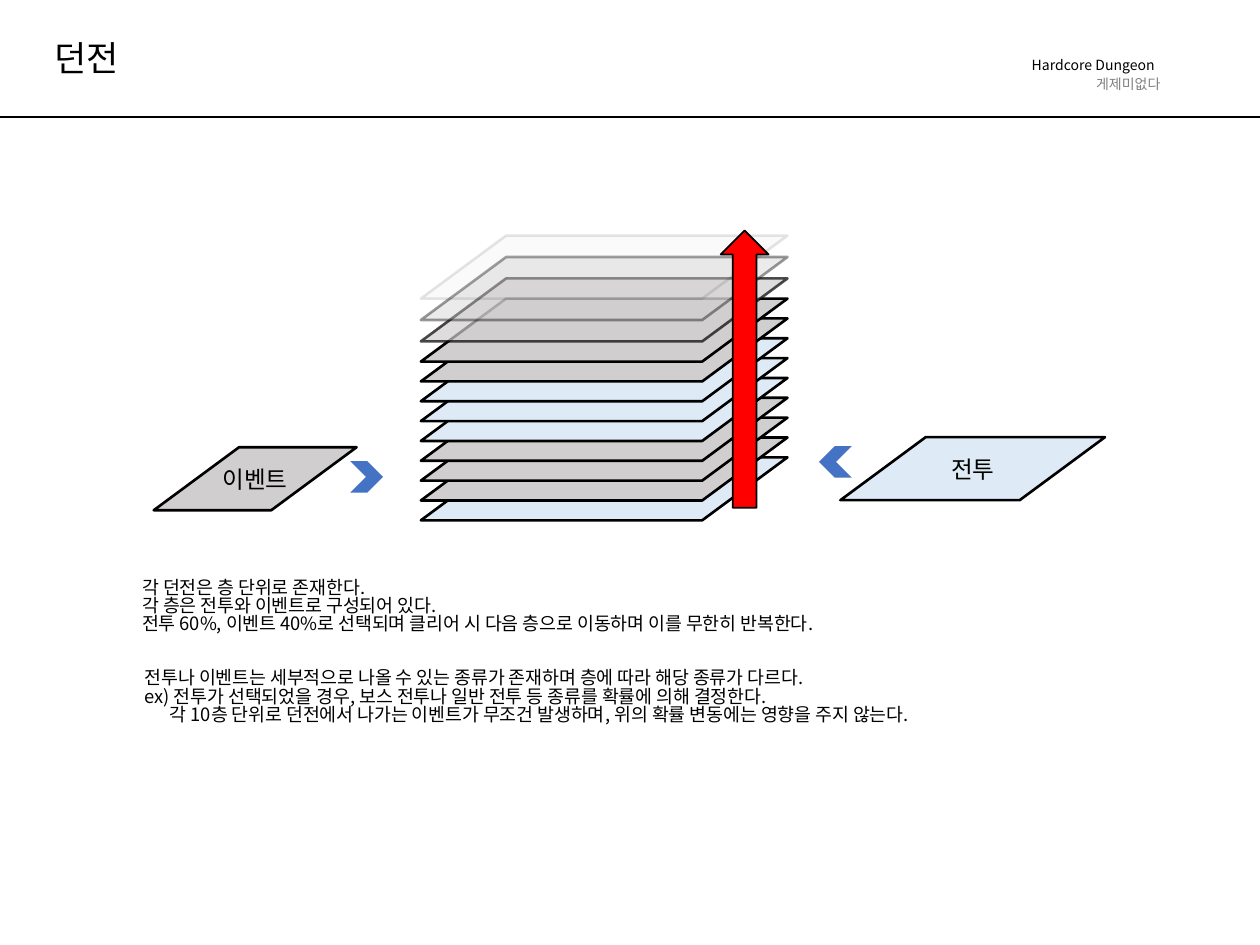
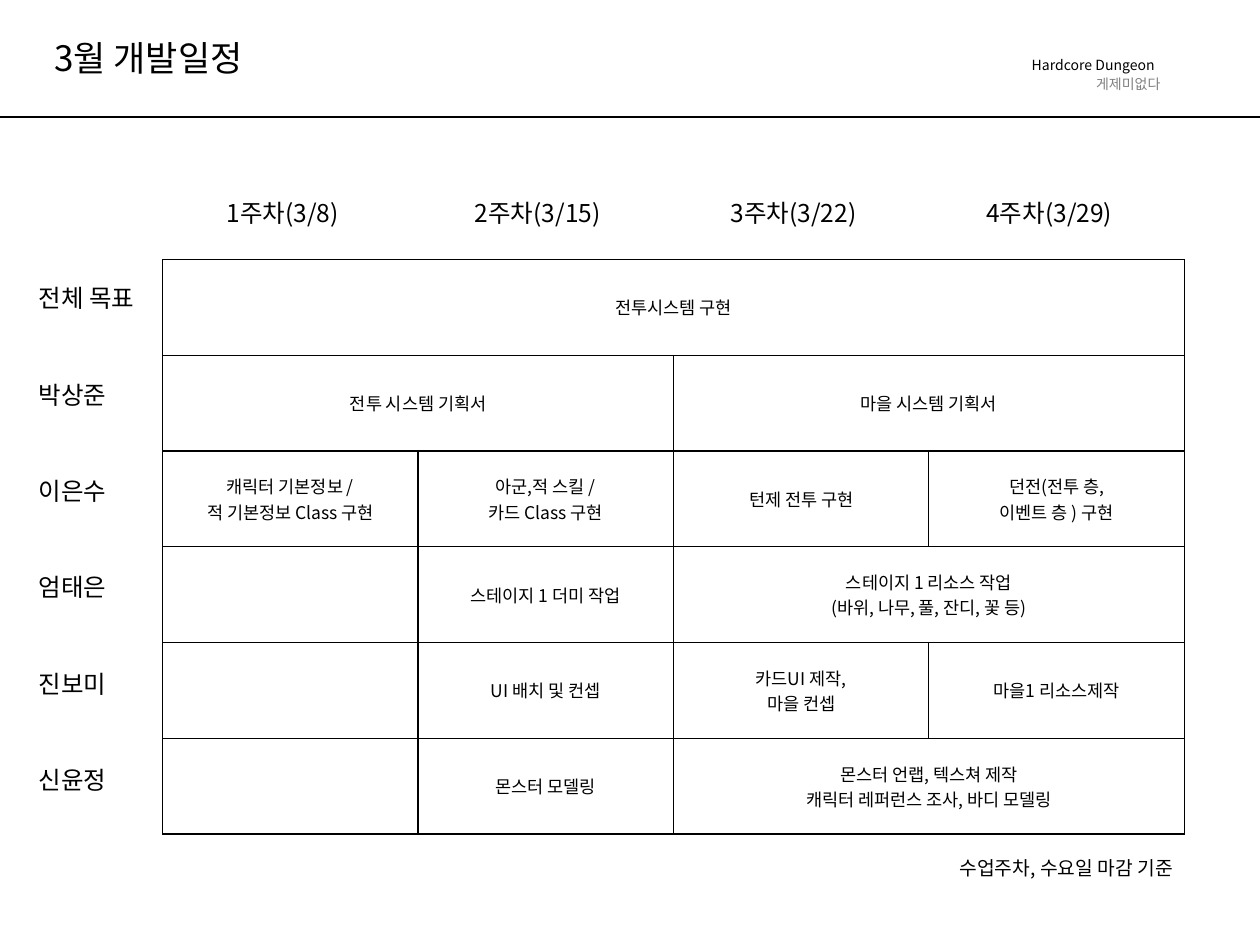
from lxml import etree
from pptx import Presentation
from pptx.dml.color import RGBColor
from pptx.enum.shapes import MSO_CONNECTOR, MSO_SHAPE
from pptx.enum.text import MSO_ANCHOR, MSO_AUTO_SIZE, PP_ALIGN
from pptx.oxml.ns import qn
from pptx.util import Inches, Pt

LEFT, CENTER, RIGHT = PP_ALIGN.LEFT, PP_ALIGN.CENTER, PP_ALIGN.RIGHT
TOP, MIDDLE = MSO_ANCHOR.TOP, MSO_ANCHOR.MIDDLE
PARALLELOGRAM, CHEVRON = MSO_SHAPE.PARALLELOGRAM, MSO_SHAPE.CHEVRON
UP_ARROW = MSO_SHAPE.UP_ARROW

FONT = "Noto Sans CJK KR"
BLACK, WHITE, GRAY = "000000", "FFFFFF", "808080"
EVENT, BATTLE, ACCENT, RED = "D0CECE", "DEEBF7", "4472C4", "FF0000"
LINE_SPACING = 0.83

# Shared header: text, position, colour
CREDITS = [
    ("게제미없다", (8.6, 0.57, 0.75, 0.24), GRAY),
    ("Hardcore Dungeon", (8.09, 0.42, 1.23, 0.24), BLACK),
]

# Dungeon slide: floors from the bottom up, then fading floors by opacity
FLOORS = [BATTLE] + [EVENT] * 3 + [BATTLE] * 3 + [EVENT] * 2
FADING_FLOORS = [70, 40, 10]
FLOOR_KINDS = [
    ("전투", BATTLE, (6.67, 3.47, 2.1, 0.5)),
    ("이벤트", EVENT, (1.22, 3.55, 1.61, 0.5)),
]
CHEVRONS = [((6.5, 3.54, 0.26, 0.25), 180), ((2.78, 3.66, 0.26, 0.25), 0)]
FLOOR_RULES = [
    "각 던전은 층 단위로 존재한다.",
    "각 층은 전투와 이벤트로 구성되어 있다.",
    "전투 60%, 이벤트 40%로 선택되며 클리어 시 다음 층으로 이동하며 이를 무한히 반복한다.",
]
KIND_RULES = [
    "전투나 이벤트는 세부적으로 나올 수 있는 종류가 존재하며 층에 따라 해당 종류가 다르다.",
    "ex) 전투가 선택되었을 경우, 보스 전투나 일반 전투 등 종류를 확률에 의해 결정한다.",
    "각 10층 단위로 던전에서 나가는 이벤트가 무조건 발생하며, 위의 확률 변동에는 영향을 주지 않는다.",
]

# Schedule slide: week and left edge; then owner and tasks as (text, weeks)
WEEKS = [("1주차(3/8)", 1.7), ("2주차(3/15)", 3.67), ("3주차(3/22)", 5.7), ("4주차(3/29)", 7.73)]
SCHEDULE = [
    ("전체 목표", [("전투시스템 구현", 4)]),
    ("박상준", [("전투 시스템 기획서", 2), ("마을 시스템 기획서", 2)]),
    ("이은수", [("캐릭터 기본정보 /\n적 기본정보 Class 구현", 1), ("아군,적 스킬 /\n카드 Class 구현", 1),
             ("턴제 전투 구현", 1), ("던전(전투 층,\n이벤트 층 ) 구현", 1)]),
    ("엄태은", [("", 1), ("스테이지 1 더미 작업", 1),
             ("스테이지 1 리소스 작업\n(바위, 나무, 풀, 잔디, 꽃 등)", 2)]),
    ("진보미", [("", 1), ("UI 배치 및 컨셉", 1), ("카드UI 제작,\n마을 컨셉", 1), ("마을1 리소스제작", 1)]),
    ("신윤정", [("", 1), ("몬스터 모델링", 1),
             ("몬스터 언랩, 텍스쳐 제작\n캐릭터 레퍼런스 조사, 바디 모델링", 2)]),
]
DEADLINE = "수업주차, 수요일 마감 기준"


def rgb(color):
    return RGBColor.from_string(color)


def inches(box):
    return [Inches(length) for length in box]


def write(frame, text, size=10.5, color=BLACK, align=LEFT, anchor=TOP, spacing=None, indents=()):
    """Fill a text frame, one paragraph for each line of text."""
    frame.word_wrap = True
    frame.vertical_anchor = anchor
    for number, line in enumerate(text.split("\n")):
        paragraph = frame.paragraphs[0] if number == 0 else frame.add_paragraph()
        paragraph.alignment = align
        if spacing:
            paragraph.line_spacing = spacing
        if number in indents:
            paragraph._p.get_or_add_pPr().set("marL", str(Inches(0.2)))
        run = paragraph.add_run()
        run.text = line
        run.font.size = Pt(size)
        run.font.name = FONT
        run.font.color.rgb = rgb(color)
        etree.SubElement(run._r.get_or_add_rPr(), qn("a:ea"), typeface=FONT)


def add_text(slide, text, box, **style):
    frame = slide.shapes.add_textbox(*inches(box)).text_frame
    write(frame, text, spacing=LINE_SPACING, **style)


def add_figure(slide, preset, box, fill, line=None, opacity=100):
    figure = slide.shapes.add_shape(preset, *inches(box))
    figure.shadow.inherit = False
    figure.fill.solid()
    figure.fill.fore_color.rgb = rgb(fill)
    if line:
        figure.line.color.rgb = rgb(BLACK)
        figure.line.width = Pt(line)
    else:
        figure.line.fill.background()
    if opacity < 100:
        for color in figure._element.spPr.iter(qn("a:srgbClr")):
            etree.SubElement(color, qn("a:alpha"), val=str(opacity * 1000))
    return figure


def add_floor(slide, box, fill, opacity=100):
    floor = add_figure(slide, PARALLELOGRAM, box, fill, 1.5, opacity)
    floor.adjustments[0] = 1.354
    return floor


def new_slide(deck, title, title_width):
    slide = deck.slides.add_slide(deck.slide_layouts[5])
    for text, box, color in CREDITS:
        add_text(slide, text, box, size=8, color=color)
    rule = slide.shapes.add_connector(MSO_CONNECTOR.STRAIGHT, *inches((0, 0.93, 10, 0.93)))
    rule.line.color.rgb = rgb(BLACK)
    rule.line.width = Pt(1)
    etree.SubElement(rule._element.spPr, qn("a:effectLst"))
    heading = slide.shapes.title
    heading.left, heading.top, heading.width, heading.height = inches((0.33, 0.3, title_width, 0.44))
    heading.text_frame.auto_size = MSO_AUTO_SIZE.NONE
    write(heading.text_frame, title, size=20, spacing=LINE_SPACING)
    return slide


def style_cell(cell):
    cell.margin_left = cell.margin_right = cell.margin_top = cell.margin_bottom = 0
    properties = cell._tc.get_or_add_tcPr()
    for side in ("lnL", "lnR", "lnT", "lnB"):
        border = etree.SubElement(properties, qn("a:" + side), w=str(Pt(0.75)))
        solid = etree.SubElement(border, qn("a:solidFill"))
        etree.SubElement(solid, qn("a:srgbClr"), val=BLACK)
    cell.fill.solid()
    cell.fill.fore_color.rgb = rgb(WHITE)


def build_dungeon(deck):
    slide = new_slide(deck, "던전", 0.75)
    add_text(slide, "\n".join(FLOOR_RULES), (1.03, 4.55, 5.59, 0.63))

    # Stacked floors
    for level, fill in enumerate(FLOORS):
        add_floor(slide, (3.34, 3.63 - level * 1.26 / 8, 2.91, 0.5), fill)

    # Floor kinds feeding the stack
    for label, fill, box in FLOOR_KINDS:
        kind = add_floor(slide, box, fill)
        write(kind.text_frame, label, size=13.5, align=CENTER, anchor=MIDDLE)
    for box, rotation in CHEVRONS:
        add_figure(slide, CHEVRON, box, ACCENT).rotation = rotation

    # Fading floors and the climb
    for level, opacity in enumerate(FADING_FLOORS):
        add_floor(slide, (3.34, 2.21 - level * 0.17, 2.91, 0.5), EVENT, opacity)
    add_figure(slide, UP_ARROW, (5.72, 1.83, 0.38, 2.2), RED, 1)

    add_text(slide, "\n".join(KIND_RULES), (1.05, 5.27, 7.53, 0.63), indents=(2,))


def build_schedule(deck):
    slide = new_slide(deck, "3월 개발일정", 1.8)
    row_height = 4.56 / len(SCHEDULE)

    # Week and owner labels
    for week, left in WEEKS:
        add_text(slide, week, (left, 1.56, 1.4, 0.34), size=14)
    for row, (owner, _) in enumerate(SCHEDULE):
        add_text(slide, owner, (0.21, 2.24 + row * 0.764, 1, 0.34), size=14)

    # Task table
    box = inches((1.29, 2.06, 8.11, 4.56))
    frame = slide.shapes.add_table(len(SCHEDULE), len(WEEKS), *box)
    table = frame.table
    table.first_row = table.horz_banding = False
    for table_row in table.rows:
        table_row.height = Inches(row_height)
        for cell in table_row.cells:
            style_cell(cell)
    for row, (_, tasks) in enumerate(SCHEDULE):
        column = 0
        for task, weeks in tasks:
            cell = table.cell(row, column)
            if weeks > 1:
                cell.merge(table.cell(row, column + weeks - 1))
            cell.vertical_anchor = MIDDLE
            if task:
                write(cell.text_frame, task, size=10, align=CENTER, anchor=MIDDLE)
            column += weeks

    add_text(slide, DEADLINE, (7.43, 6.78, 1.98, 0.29), size=11, align=RIGHT)


def main():
    deck = Presentation()
    deck.slide_width, deck.slide_height = Inches(10), Inches(7.5)
    build_dungeon(deck)
    build_schedule(deck)
    deck.save("out.pptx")


if __name__ == "__main__":
    main()
